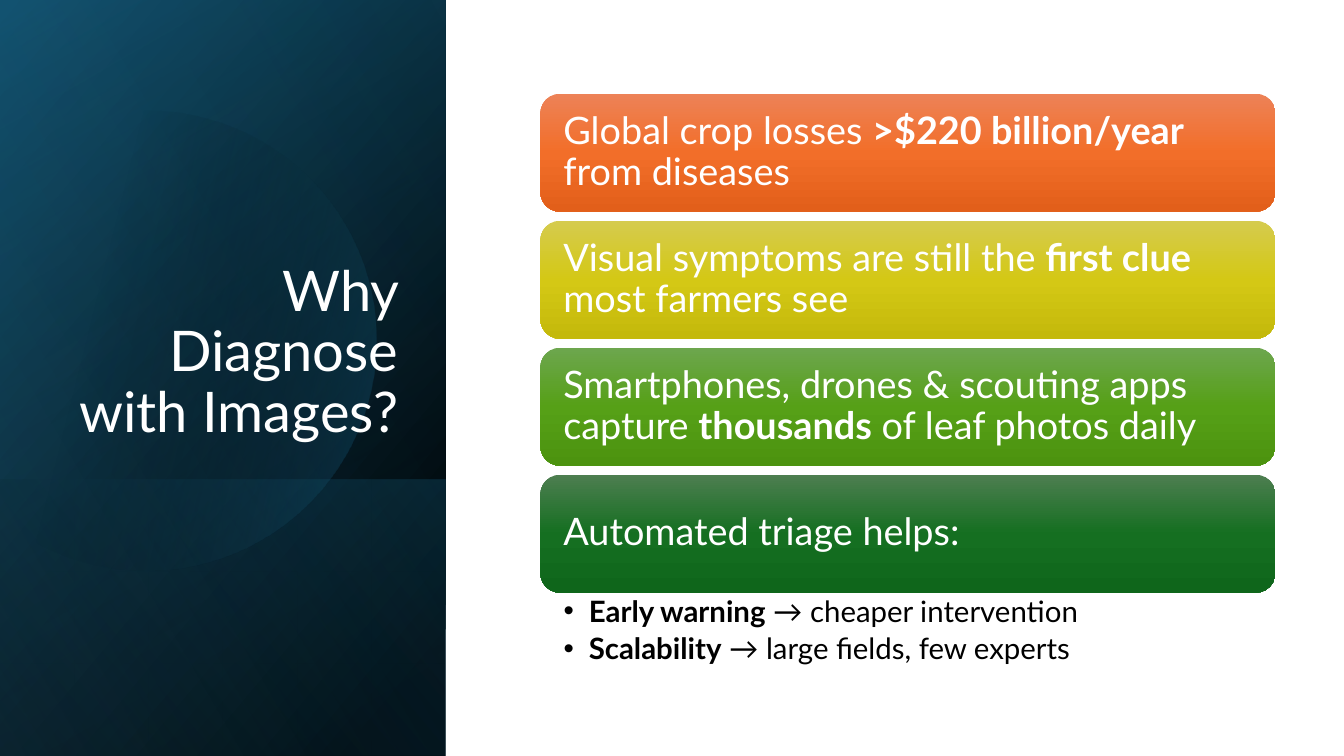
"""Build the slide on why crop diseases are diagnosed with images."""
import math
from dataclasses import dataclass

from lxml import etree
from pptx import Presentation
from pptx.dml.color import RGBColor
from pptx.enum.shapes import MSO_SHAPE
from pptx.enum.text import MSO_ANCHOR, MSO_AUTO_SIZE, PP_ALIGN
from pptx.oxml.ns import qn
from pptx.util import Inches, Pt

RECTANGLE, ROUNDED = MSO_SHAPE.RECTANGLE, MSO_SHAPE.ROUNDED_RECTANGLE
TOP, MIDDLE, BOTTOM = MSO_ANCHOR.TOP, MSO_ANCHOR.MIDDLE, MSO_ANCHOR.BOTTOM
LEFT, RIGHT = PP_ALIGN.LEFT, PP_ALIGN.RIGHT
NO_AUTOFIT = MSO_AUTO_SIZE.NONE
FONT = "Lato"
COLOURS = {
    "white": "FFFFFF", "black": "000000",
    "navy": "104862", "teal": "156082", "sky": "46B1E1",
    "orange light": "ED8257", "orange": "F26E29", "orange dark": "E25F1A",
    "yellow light": "D5CB4E", "yellow": "D4C815", "yellow dark": "C4B90B",
    "lime light": "6DA64E", "lime": "56A017", "lime dark": "4C930F",
    "green light": "4D7E50", "green": "156F21", "green dark": "0F661B",
}
PANEL_WIDTH, SLIDE_HEIGHT = 4.42, 7.5
CARD_LEFT, CARD_TOP, CARD_WIDTH, CARD_HEIGHT, CARD_PITCH = 5.36, 0.93, 7.29, 1.17, 1.26
DISC_X, DISC_Y, DISC_RADIUS, DISC_STEPS = 1.45, 3.38, 2.28, 90


@dataclass(frozen=True)
class Stop:
    """One gradient stop, with position and opacity in percent."""
    position: int
    colour: str
    opacity: int = 100


@dataclass(frozen=True)
class Layer:
    """One gradient layer of the left panel, reaching from top to the slide's end."""
    top: float
    angle: int
    stops: tuple[Stop, ...]


@dataclass(frozen=True)
class Card:
    """One reason, with bold words between double asterisks."""
    text: str
    hue: str


BASE_LAYERS = (
    Layer(0, 50, (Stop(8, "black"), Stop(100, "navy"))),
    Layer(0, 30, (Stop(0, "black", 0), Stop(99, "teal", 46))),
    Layer(4.76, 130, (Stop(2, "teal", 29), Stop(100, "black", 30))),
)
SHEEN = Layer(0, 120, (Stop(0, "black", 0), Stop(99, "sky", 11)))
DISC_STOPS = (Stop(29, "black", 0), Stop(100, "teal", 43))
CARDS = (
    Card("Global crop losses **>$220 billion/year** from diseases", "orange"),
    Card("Visual symptoms are still the **first clue** most farmers see", "yellow"),
    Card("Smartphones, drones & scouting apps capture **thousands** of leaf photos daily", "lime"),
    Card("Automated triage helps:", "green"),
)
BENEFITS = (
    "**Early warning** → cheaper intervention",
    "**Scalability** → large fields, few experts",
)


def paint(shape, angle: int, stops: tuple[Stop, ...]) -> None:
    """Give a shape a linear gradient without outline or shadow."""
    shape.shadow.inherit = False
    shape.line.fill.background()
    shape.fill.background()
    gradient = etree.Element(qn("a:gradFill"), rotWithShape="1")
    stop_list = etree.SubElement(gradient, qn("a:gsLst"))
    for stop in stops:
        mark = etree.SubElement(stop_list, qn("a:gs"), pos=str(stop.position * 1000))
        colour = etree.SubElement(mark, qn("a:srgbClr"), val=COLOURS[stop.colour])
        if stop.opacity < 100:
            etree.SubElement(colour, qn("a:alpha"), val=str(stop.opacity * 1000))
    etree.SubElement(gradient, qn("a:lin"), ang=str(angle * 60000), scaled="0")
    properties = shape.element.spPr
    properties.replace(properties.find(qn("a:noFill")), gradient)


def add_layer(slide, layer: Layer) -> None:
    """Draw a panel layer as a mirrored rectangle on its side."""
    length = SLIDE_HEIGHT - layer.top
    left = (PANEL_WIDTH - length) / 2
    top = layer.top + (length - PANEL_WIDTH) / 2
    panel = slide.shapes.add_shape(
        RECTANGLE, Inches(left), Inches(top), Inches(length), Inches(PANEL_WIDTH))
    panel.rotation = 90
    panel.element.spPr.find(qn("a:xfrm")).set("flipH", "1")
    paint(panel, layer.angle, layer.stops)


def add_disc(slide) -> None:
    """Draw the faint disc cut off by the left edge of the slide."""
    reach = math.acos(-DISC_X / DISC_RADIUS)
    angles = [reach * (2 * step / DISC_STEPS - 1) for step in range(DISC_STEPS + 1)]
    rim = [(Inches(DISC_X + DISC_RADIUS * math.cos(angle)),
            Inches(DISC_Y + DISC_RADIUS * math.sin(angle))) for angle in angles]
    outline = slide.shapes.build_freeform(*rim[0])
    outline.add_line_segments(rim[1:], close=True)
    paint(outline.convert_to_shape(), 14, DISC_STOPS)


def place(placeholder, left: float, top: float, width: float, height: float) -> None:
    """Move a placeholder and bring it to the front."""
    placeholder.left, placeholder.top = Inches(left), Inches(top)
    placeholder.width, placeholder.height = Inches(width), Inches(height)
    placeholder.element.getparent().append(placeholder.element)


def set_frame(frame, anchor, left: float, right: float, vertical: float) -> None:
    """Set wrapping, anchor and insets of a text frame."""
    frame.word_wrap, frame.auto_size = True, NO_AUTOFIT
    frame.vertical_anchor = anchor
    frame.margin_left, frame.margin_right = Inches(left), Inches(right)
    frame.margin_top = frame.margin_bottom = Inches(vertical)


def write(paragraph, text: str, size: int, colour: str, alignment=LEFT) -> None:
    """Fill a paragraph, with bold words between double asterisks."""
    paragraph.alignment = alignment
    paragraph.line_spacing = 0.9
    paragraph.space_before = Pt(0)
    paragraph.font.name, paragraph.font.size = FONT, Pt(size)
    paragraph.font.color.rgb = RGBColor.from_string(COLOURS[colour])
    for index, part in enumerate(text.split("**")):
        run = paragraph.add_run()
        run.text = part
        if index % 2:
            run.font.bold = True


def add_card(slide, index: int, card: Card) -> None:
    """Draw one reason card in the column."""
    box = slide.shapes.add_shape(
        ROUNDED, Inches(CARD_LEFT), Inches(CARD_TOP + index * CARD_PITCH),
        Inches(CARD_WIDTH), Inches(CARD_HEIGHT))
    paint(box, 90, (Stop(0, f"{card.hue} light"), Stop(50, card.hue),
                    Stop(100, f"{card.hue} dark")))
    set_frame(box.text_frame, MIDDLE, 0.17, 0.17, 0.17)
    write(box.text_frame.paragraphs[0], card.text, 27, "white")


def fill_benefits(body) -> None:
    """Write the bulleted benefits under the last card."""
    place(body, CARD_LEFT, 5.88, CARD_WIDTH, 0.79)
    set_frame(body.text_frame, TOP, 0.23, 0.21, 0.04)
    for index, benefit in enumerate(BENEFITS):
        paragraph = body.text_frame.add_paragraph() if index else body.text_frame.paragraphs[0]
        properties = paragraph._p.get_or_add_pPr()
        properties.set("marL", str(Inches(0.25)))
        properties.set("indent", str(Inches(-0.25)))
        etree.SubElement(properties, qn("a:buChar"), char="•")
        write(paragraph, benefit, 21, "black")
        paragraph.space_after = Pt(4)


def main() -> None:
    """Build and save the slide."""
    deck = Presentation()
    deck.slide_width, deck.slide_height = Inches(13.33), Inches(SLIDE_HEIGHT)
    slide = deck.slides.add_slide(deck.slide_layouts[1])
    for layer in BASE_LAYERS:
        add_layer(slide, layer)
    add_disc(slide)
    add_layer(slide, SHEEN)
    title = slide.shapes.title
    place(title, 0.64, 1.84, 3.41, 2.62)
    set_frame(title.text_frame, BOTTOM, 0.1, 0.1, 0.05)
    write(title.text_frame.paragraphs[0], "Why Diagnose with Images?", 40, "white", RIGHT)
    for index, card in enumerate(CARDS):
        add_card(slide, index, card)
    fill_benefits(slide.placeholders[1])
    deck.save("out.pptx")


if __name__ == "__main__":
    main()
